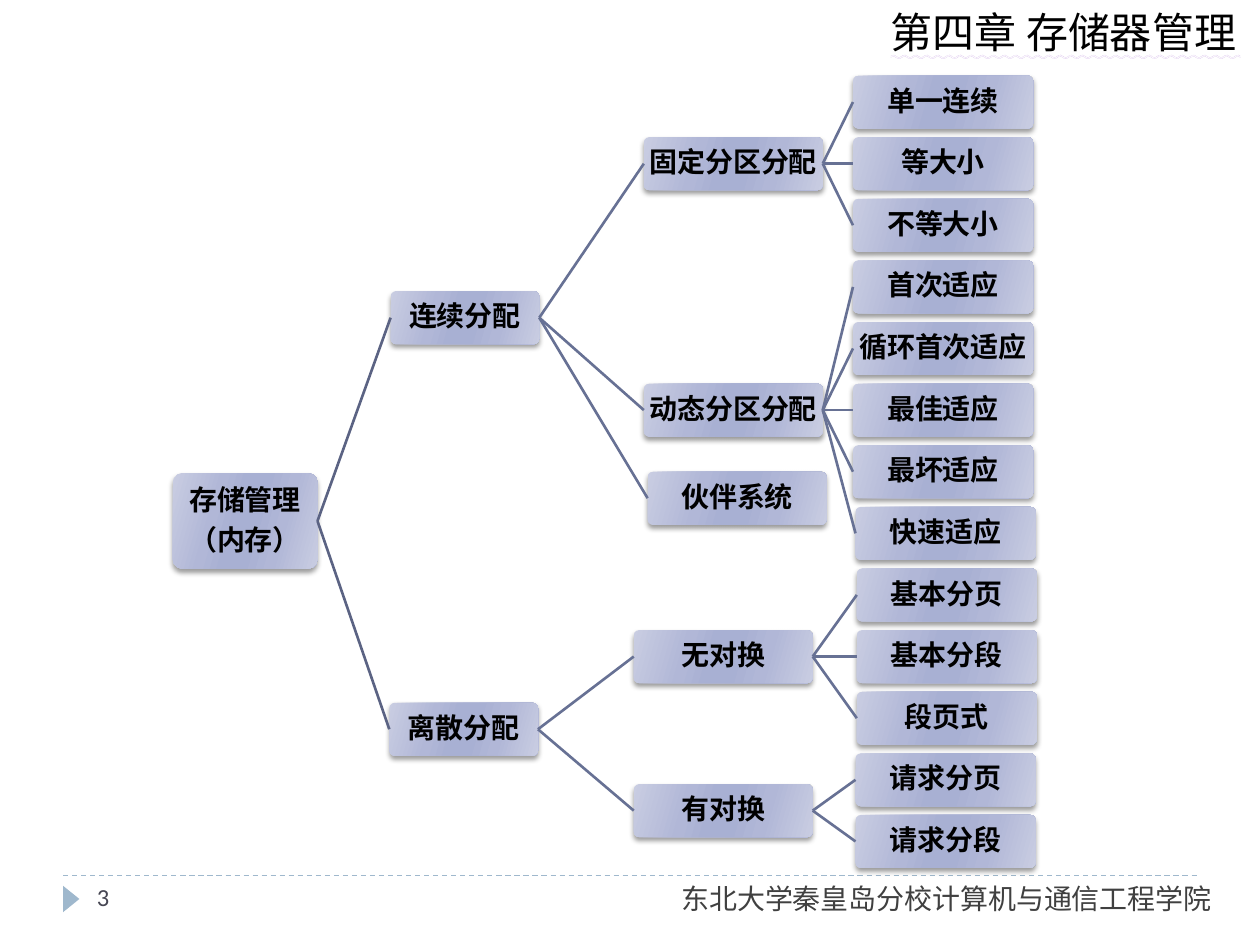
from lxml.etree import SubElement as Sub
from pptx import Presentation as Deck
from pptx.dml.color import RGBColor as Color
from pptx.enum.dml import MSO_LINE as Dash
from pptx.enum.shapes import MSO_CONNECTOR as Link, MSO_SHAPE as Shape
from pptx.enum.text import MSO_ANCHOR as Anchor, MSO_UNDERLINE as Under, PP_ALIGN as Align
from pptx.oxml.ns import qn
from pptx.util import Inches, Pt

STOPS = [(0, "C9CDE2"), (30, "B1B7D7"), (45, "A8B0D3"),
         (55, "A8B0D3"), (73, "B1B7D7"), (100, "C9CDE2")]
WIDTHS = [11.5, 11.8, 14.2, 14.3]
FIRST, PITCH = 8.1, 4.89

TREE = ("存储管理\n（内存）", 13.7, 6.8, [
    ("连续分配", 31, 3.5, [
        ("固定分区分配", 51.1, 1, [
            ("单一连续", 67.7, 0, []),
            ("等大小", 67.7, 1, []),
            ("不等大小", 67.7, 2, [])]),
        ("动态分区分配", 51.1, 5, [
            ("首次适应", 67.7, 3, []),
            ("循环首次适应", 67.7, 4, []),
            ("最佳适应", 67.7, 5, []),
            ("最坏适应", 67.7, 6, []),
            ("快速适应", 67.9, 7, [])]),
        ("伙伴系统", 51.4, 6.43, [])]),
    ("离散分配", 30.9, 10.18, [
        ("无对换", 50.3, 9, [
            ("基本分页", 68, 8, []),
            ("基本分段", 68, 9, []),
            ("段页式", 68, 10, [])]),
        ("有对换", 50.3, 11.5, [
            ("请求分页", 67.9, 11, []),
            ("请求分段", 67.9, 12, [])])])])


def tint(code):
    return Color.from_string(code)


def apply(item, style):
    for name, value in style.items():
        setattr(item, name, value)


class Page:
    face = "Calibri"
    cols, rows = 100, 75
    label = {"size": Pt(16), "bold": True}
    frame = {"word_wrap": True, "vertical_anchor": Anchor.MIDDLE,
             "margin_left": Inches(0.02), "margin_right": Inches(0.02),
             "margin_top": Inches(0.02), "margin_bottom": Inches(0.02)}
    para = {"alignment": Align.CENTER, "line_spacing": 0.9, "space_after": Pt(5.6)}

    def __init__(self, deck):
        self.wide, self.high = deck.slide_width, deck.slide_height
        self.slide = deck.slides.add_slide(deck.slide_layouts[6])
        self.shapes = self.slide.shapes

    def place(self, x, y, w, h):
        col, row = self.wide / self.cols, self.high / self.rows
        return [round(n) for n in (x * col, y * row, w * col, h * row)]

    def letter(self, frame, text, font, code, para):
        frame.text = text
        for line in frame.paragraphs:
            apply(line, para)
            for run in line.runs:
                apply(run.font, {"name": self.face, **font})
                run.font.color.rgb = tint(code)

    def text(self, spot, words, font, code, wrap=False):
        frame = self.shapes.add_textbox(*self.place(*spot)).text_frame
        frame.word_wrap = wrap
        self.letter(frame, words, font, code, {})
        return frame

    def mark(self, spot, code, turn):
        shape = self.shapes.add_shape(Shape.ISOSCELES_TRIANGLE, *self.place(*spot))
        shape.rotation = turn
        shape.shadow.inherit = False
        shape.fill.solid()
        shape.fill.fore_color.rgb = tint(code)
        shape.line.fill.background()

    def line(self, x, y, x2, y2, code, style):
        ends = self.place(x, y, x2, y2)
        link = self.shapes.add_connector(Link.STRAIGHT, *ends)
        link.line.color.rgb = tint(code)
        apply(link.line, style)
        Sub(link._element.spPr, qn("a:effectLst"))
        return link

    def shade(self, shape):
        shape.fill.gradient()
        shape.fill.gradient_angle = 344
        stops = shape._element.spPr.find(qn("a:gradFill")).find(qn("a:gsLst"))
        for old in list(stops):
            stops.remove(old)
        for share, code in STOPS:
            stop = Sub(stops, qn("a:gs"), pos=str(share * 1000))
            Sub(stop, qn("a:srgbClr"), val=code)

    def lift(self, shape):
        shape.shadow.inherit = False
        group = shape._element.spPr.find(qn("a:effectLst"))
        cast = Sub(group, qn("a:outerShdw"), blurRad=str(Pt(3)), dist=str(Pt(2)),
                   dir="5400000", rotWithShape="0")
        black = Sub(cast, qn("a:srgbClr"), val="000000")
        Sub(black, qn("a:alpha"), val="40000")

    def box(self, x, mid, w, h, words):
        spot = self.place(x, mid - h / 2, w, h)
        shape = self.shapes.add_shape(Shape.ROUNDED_RECTANGLE, *spot)
        shape.adjustments[0] = 0.1
        self.shade(shape)
        shape.line.fill.background()
        self.lift(shape)
        apply(shape.text_frame, self.frame)
        self.letter(shape.text_frame, words, self.label, "000000", self.para)
        return shape

    def join(self, left, right, code):
        link = self.line(0, 0, 0, 0, code, {"width": Pt(1.5)})
        link.begin_connect(left, 3)
        link.end_connect(right, 1)

    def branch(self, node, depth=0):
        words, x, row, kids = node
        high = 4.2 if depth else 7.6
        shape = self.box(x, FIRST + PITCH * row, WIDTHS[depth], high, words)
        for kid in kids:
            self.join(shape, self.branch(kid, depth + 1), "677194" if depth else "5B6383")
        return shape

    def wave(self, frame, code):
        props = frame.paragraphs[0].runs[0].font._element
        fill = Sub(Sub(props, qn("a:uFill")), qn("a:solidFill"))
        Sub(fill, qn("a:srgbClr"), val=code)
        props.find(qn("a:solidFill")).addnext(props.find(qn("a:uFill")))


def main():
    deck = Deck()
    deck.slide_width, deck.slide_height = Inches(10), Inches(7.5)
    page = Page(deck)
    page.line(5, 69.5, 95, 69.5, "9FB8CD", {"width": Pt(0.75), "dash_style": Dash.DASH})
    page.mark((4.6, 70.7, 2.1, 1.3), "9FB8CD", 90)
    title = page.text((69.7, 0, 29.9, 5), "第四章 存储器管理",
                      {"size": Pt(24), "underline": Under.WAVY_DOUBLE_LINE}, "000000")
    page.wave(title, "C9A6E4")
    page.text((53.1, 69.5, 44.7, 3.7), "东北大学秦皇岛分校计算机与通信工程学院",
              {"size": Pt(16)}, "404040")
    page.text((6.7, 69.5, 21.7, 4), "3", {"size": Pt(14)}, "464653", True)
    page.branch(TREE)
    deck.save("out.pptx")


if __name__ == "__main__":
    main()
